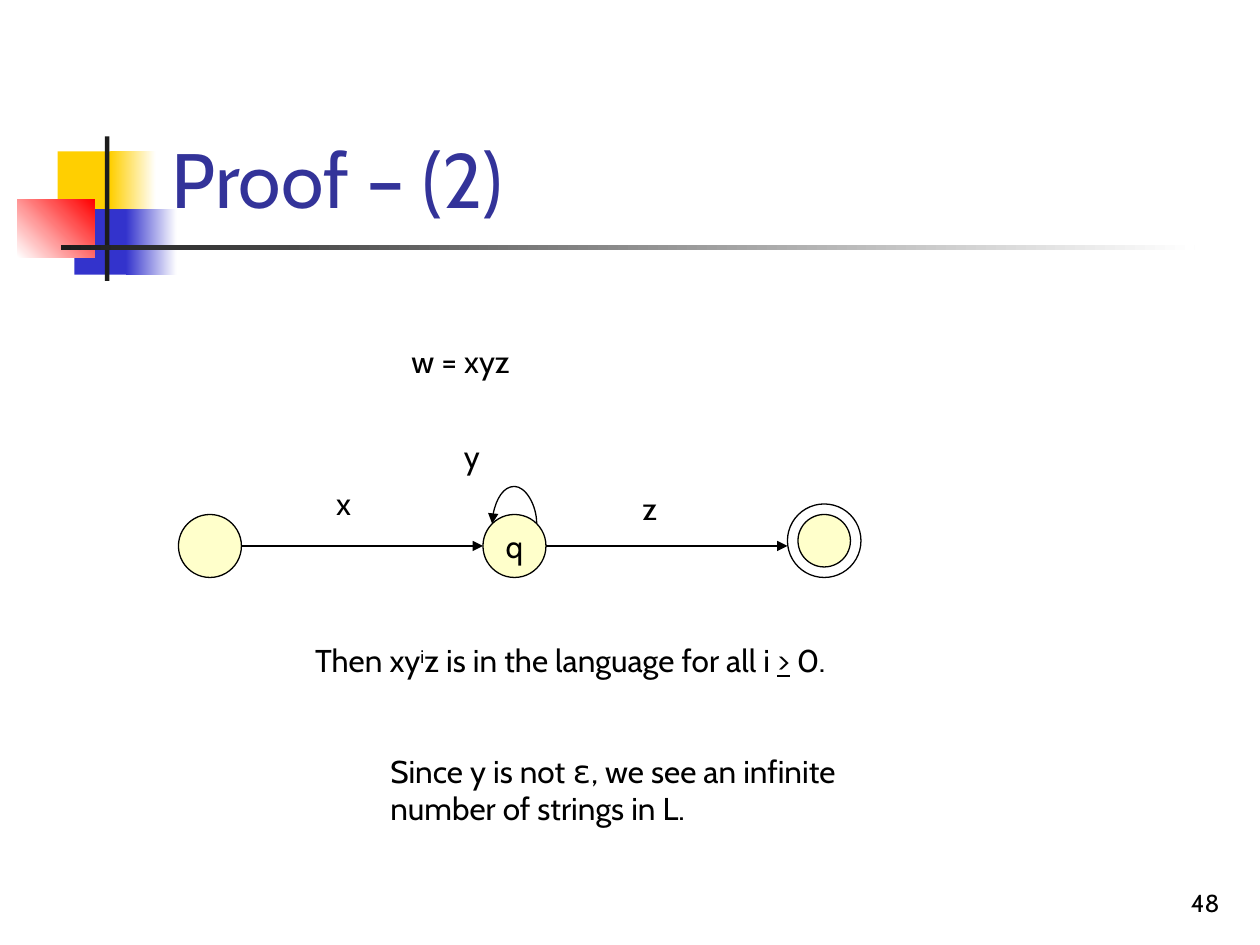
import pptx
import pptx.util
import pptx.dml.color
import pptx.enum.shapes
import pptx.enum.text
import pptx.oxml
import pptx.oxml.ns

Pt = pptx.util.Pt
qn = pptx.oxml.ns.qn
SHAPE = pptx.enum.shapes.MSO_SHAPE
LINK = pptx.enum.shapes.MSO_CONNECTOR
ANCHOR = pptx.enum.text.MSO_ANCHOR
ALIGN = pptx.enum.text.PP_ALIGN
FIT = pptx.enum.text.MSO_AUTO_SIZE


def rgb(value):
    return pptx.dml.color.RGBColor.from_string(value)


class Deck:
    font = "Cabin"
    ink = "000000"
    state = "FFFF99"
    line_width = 0.75

    def __init__(self):
        self.prs = pptx.Presentation()
        self.prs.slide_width = Pt(720)
        self.prs.slide_height = Pt(540)
        self.s = self.prs.slides.add_slide(self.prs.slide_layouts[5])

    def style(self, p, size, color):
        for r in p.runs:
            r.font.name = self.font
            r.font.size = Pt(size)
            r.font.color.rgb = rgb(color)

    def title(self, text, x, y, w, h):
        sp = self.s.shapes.title
        sp.left, sp.top, sp.width, sp.height = Pt(x), Pt(y), Pt(w), Pt(h)
        tf = sp.text_frame
        tf.text = text
        tf.auto_size = FIT.NONE
        tf.vertical_anchor = ANCHOR.BOTTOM
        tf.paragraphs[0].alignment = ALIGN.LEFT
        self.style(tf.paragraphs[0], 44, "333399")

    def block(self, x, y, w, h, color, end=None, angle=0):
        sp = self.s.shapes.add_shape(SHAPE.RECTANGLE, Pt(x), Pt(y), Pt(w), Pt(h))
        sp.shadow.inherit = False
        sp.line.fill.background()
        if end is None:
            sp.fill.solid()
            sp.fill.fore_color.rgb = rgb(color)
            return
        sp.fill.gradient()
        sp.fill.gradient_angle = angle
        for stop, position, c in zip(sp.fill.gradient_stops, (0, 1), (color, end)):
            stop.position = position
            stop.color.rgb = rgb(c)

    def circle(self, x, y, d, filled=True, text=None):
        sp = self.s.shapes.add_shape(SHAPE.OVAL, Pt(x), Pt(y), Pt(d), Pt(d))
        sp.shadow.inherit = False
        sp.line.color.rgb = rgb(self.ink)
        sp.line.width = Pt(self.line_width)
        if filled:
            sp.fill.solid()
            sp.fill.fore_color.rgb = rgb(self.state)
            color = sp._element.spPr.find(".//" + qn("a:solidFill"))[0]
            alpha = pptx.oxml.parse_xml(
                f'<a:alpha {pptx.oxml.ns.nsdecls("a")} val="50000"/>')
            color.append(alpha)
        else:
            sp.fill.background()
        if text:
            tf = sp.text_frame
            tf.text = text
            tf.word_wrap = False
            tf.vertical_anchor = ANCHOR.MIDDLE
            tf.paragraphs[0].alignment = ALIGN.CENTER
            self.style(tf.paragraphs[0], 18, self.ink)

    def arrow(self, x1, y1, x2, y2, kind=LINK.STRAIGHT):
        c = self.s.shapes.add_connector(kind, Pt(x1), Pt(y1), Pt(x2), Pt(y2))
        c.line.color.rgb = rgb(self.ink)
        c.line.width = Pt(self.line_width)
        ns = pptx.oxml.ns.nsdecls("a")
        c.line._get_or_add_ln().append(
            pptx.oxml.parse_xml(f'<a:tailEnd {ns} type="triangle"/>'))
        c._element.spPr.append(pptx.oxml.parse_xml(f"<a:effectLst {ns}/>"))
        return c

    def loop(self, x, y, width, rise):
        thin = 0.12
        c = self.arrow(x + thin / 2, y + width / 2, x - thin / 2, y - width / 2, LINK.CURVE)
        spPr = c._element.spPr
        spPr.find(qn("a:xfrm")).set("rot", "16200000")
        geom = spPr.find(qn("a:prstGeom"))
        for old in list(geom):
            geom.remove(old)
        adj = round(-rise / thin * 100000)
        geom.append(pptx.oxml.parse_xml(
            f'<a:avLst {pptx.oxml.ns.nsdecls("a")}><a:gd name="adj1" fmla="val {adj}"/></a:avLst>'))

    def text(self, x, y, w, h, lines, wrap=False):
        sp = self.s.shapes.add_textbox(Pt(x), Pt(y), Pt(w), Pt(h))
        tf = sp.text_frame
        tf.word_wrap = wrap
        tf.auto_size = FIT.SHAPE_TO_FIT_TEXT
        for i, runs in enumerate(lines):
            p = tf.paragraphs[0] if i == 0 else tf.add_paragraph()
            for text in runs:
                p.add_run().text = text
            self.style(p, 18, self.ink)
        return tf

    def number(self, text, x, y, w, h):
        tf = self.text(x, y, w, h, [[text]], True)
        tf.auto_size = FIT.NONE
        tf.vertical_anchor = ANCHOR.BOTTOM
        tf.paragraphs[0].alignment = ALIGN.RIGHT
        self.style(tf.paragraphs[0], 14, self.ink)


def main():
    d = Deck()
    d.block(33, 86.5, 34.5, 37.5, "FFCF01")
    d.block(63, 86.5, 26, 37.5, "FFCF01", "FFFFFF")
    d.block(42.5, 119.5, 33, 37.5, "3333CC")
    d.block(72, 119.5, 29, 37.5, "3333CC", "FFFFFF")
    d.block(10, 113.75, 44, 33.25, "FFFFFF", "FF0000", 45)
    d.block(60, 78, 2.5, 82.5, "1C1C1C")
    d.block(34.75, 140.25, 648, 2.5, "1C1C1C", "FFFFFF")
    d.title("Proof – (2)", 91, 16.5, 613, 115)
    d.number("48", 554, 492, 150, 36)

    d.text(228, 192, 99, 36, [["w = xyz"]])
    d.circle(102, 294, 36)
    d.circle(276, 294, 36, text="q")
    d.circle(456, 294, 30)
    d.circle(450, 288, 42, filled=False)
    d.arrow(138, 312, 276, 312)
    d.arrow(312, 312, 450, 312)
    for name, x, y in (("x", 185, 273), ("y", 258, 246), ("z", 360, 276)):
        d.text(x, y, 26, 36, [[name]])
    d.loop(294, 299.27, 25.46, 22.5)

    tf = d.text(173, 363, 443, 36,
                [["Then xy", "i", "z is in the language for all i ", ">", " 0."]])
    runs = tf.paragraphs[0].runs
    runs[1].font._element.set("baseline", "30000")
    runs[3].font.underline = True
    tf = d.text(216, 426, 377, 65,
                [["Since y is not ", "ε", ", we see an infinite"],
                 ["number of strings in L."]])
    tf.paragraphs[0].runs[1].font.name = "DejaVu Sans Mono"
    d.prs.save("out.pptx")


if __name__ == "__main__":
    main()
